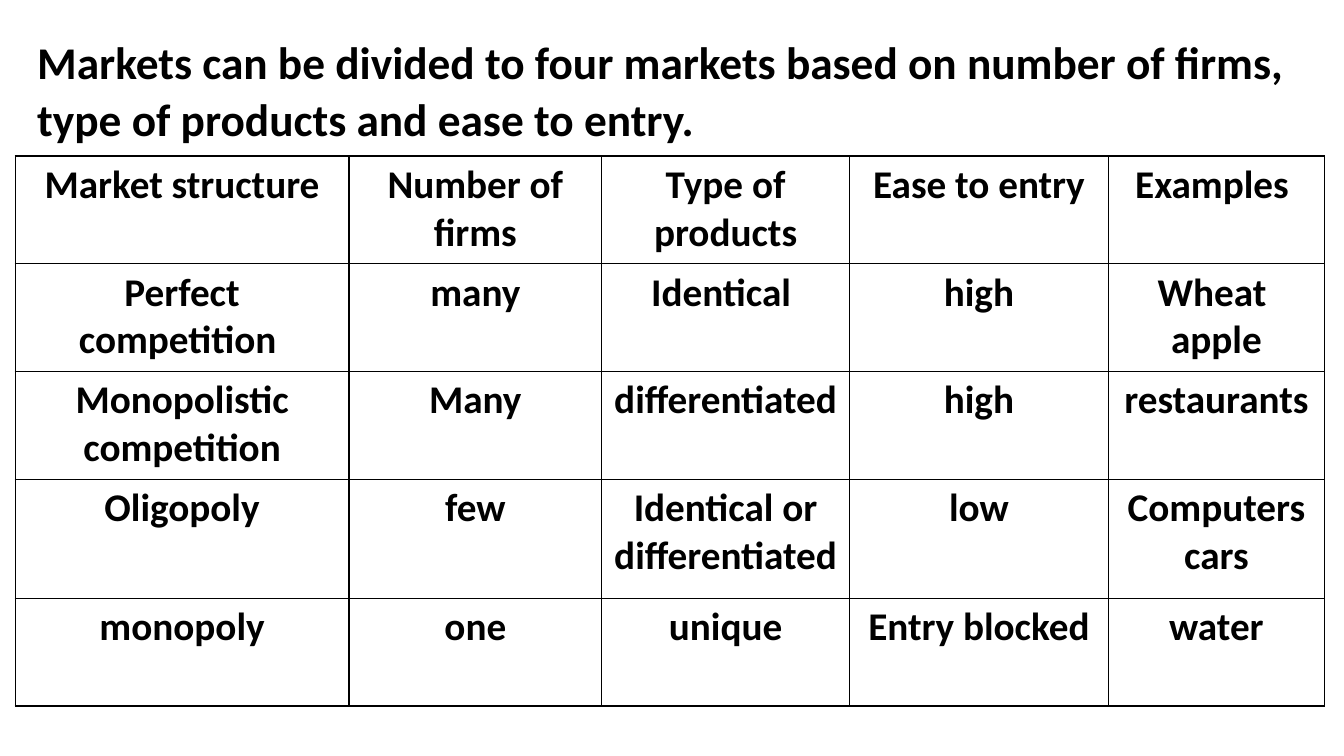
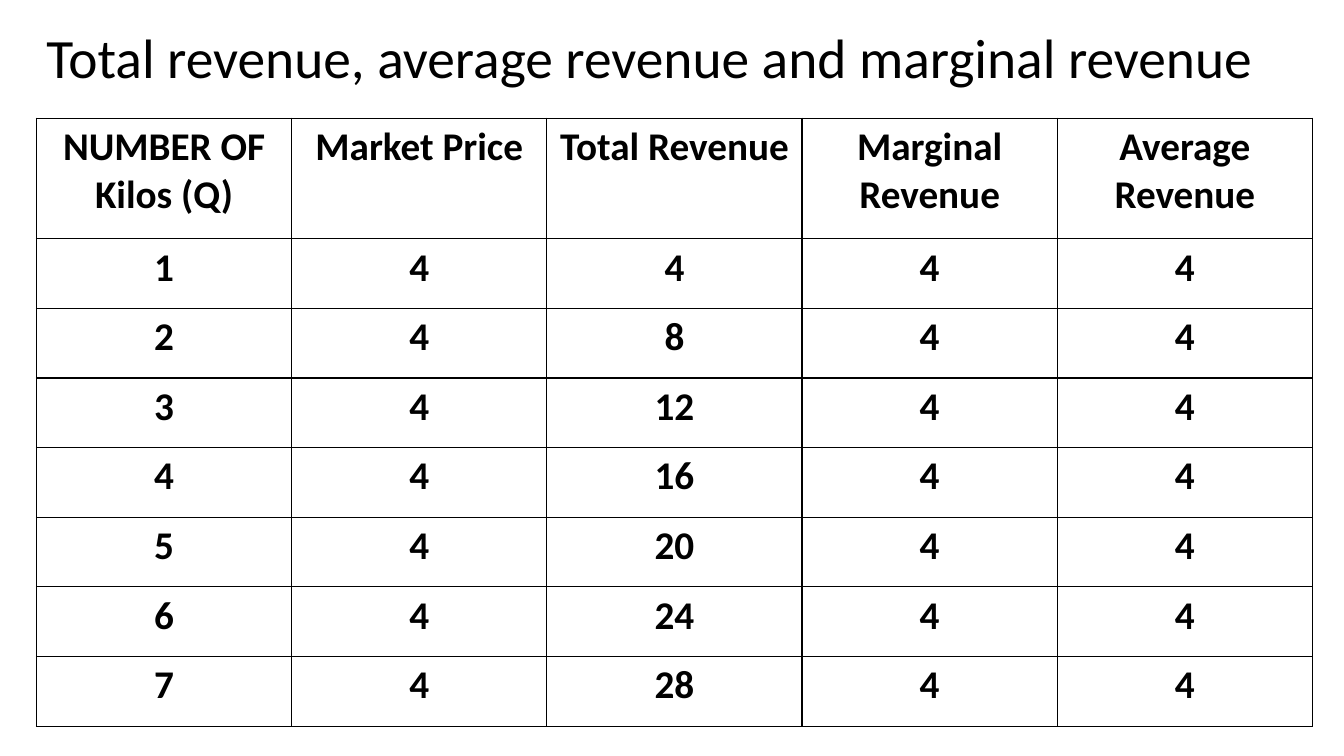
from dataclasses import dataclass

from lxml.etree import SubElement
from pptx import Presentation
from pptx.dml.color import RGBColor as Color
from pptx.enum.text import MSO_ANCHOR as Anchor, PP_ALIGN as Align
from pptx.oxml.ns import qn
from pptx.util import Pt


@dataclass(frozen=True)
class Theme:
    font: str = "Calibri"
    ink: str = "000000"
    paper: str = "FFFFFF"
    large: float = 39.6
    title: float = 32.4
    cell: float = 28
    rule: float = 1


def write(frame, text, size, theme, bold=False, align=Align.LEFT, gap=1.0):
    """Fill a text frame, one paragraph for each line of text."""
    frame.word_wrap = True
    for i, line in enumerate(text.split("\n")):
        para = frame.add_paragraph() if i else frame.paragraphs[0]
        para.alignment = align
        para.line_spacing = gap
        run = para.add_run()
        run.text = line
        font = run.font
        font.name, font.size, font.bold = theme.font, Pt(size), bold
        font.color.rgb = Color.from_string(theme.ink)


class Deck:
    def __init__(self, theme):
        self.theme = theme
        self.show = Presentation()
        self.show.slide_width, self.show.slide_height = Pt(960), Pt(540)
        self.slide = None

    def page(self):
        self.slide = self.show.slides.add_slide(self.show.slide_layouts[6])
        fill = self.slide.background.fill
        fill.solid()
        fill.fore_color.rgb = Color.from_string(self.theme.paper)

    def title(self, text, x, y, w, h, size, **style):
        box = self.slide.shapes.add_textbox(Pt(x), Pt(y), Pt(w), Pt(h))
        box.text_frame.vertical_anchor = Anchor.MIDDLE
        write(box.text_frame, text, size, self.theme, **style)

    def border(self, cell):
        props = cell._tc.get_or_add_tcPr()
        for side in ("a:lnL", "a:lnR", "a:lnT", "a:lnB"):
            line = SubElement(props, qn(side), w=str(Pt(self.theme.rule)))
            fill = SubElement(line, qn("a:solidFill"))
            SubElement(fill, qn("a:srgbClr"), val=self.theme.ink)

    def table(self, data, x, y, widths, heights):
        frame = self.slide.shapes.add_table(
            len(data), len(widths), Pt(x), Pt(y),
            Pt(sum(widths)), Pt(sum(heights)))
        grid = frame.table
        grid.first_row = grid.horz_banding = False
        for col, width in zip(grid.columns, widths):
            col.width = Pt(width)
        for row, height, texts in zip(grid.rows, heights, data):
            row.height = Pt(height)
            for cell, text in zip(row.cells, texts):
                self.border(cell)
                cell.fill.background()
                write(cell.text_frame, str(text), self.theme.cell,
                      self.theme, bold=True, align=Align.CENTER)


MARKETS = [
    ("Market structure", "Number of firms", "Type of products",
     "Ease to entry", "Examples "),
    ("Perfect competition ", "many", "Identical ", "high", "Wheat \napple"),
    ("Monopolistic competition", "Many", "differentiated", "high",
     "restaurants"),
    ("Oligopoly", "few", "Identical or differentiated", "low",
     "Computers\ncars"),
    ("monopoly", "one", "unique", "Entry blocked", "water"),
]
PRICE = 4
REVENUE = [
    ("NUMBER OF Kilos (Q)", "Market Price", "Total Revenue",
     "Marginal Revenue", "Average Revenue"),
    *((n, PRICE, n * PRICE, PRICE, PRICE) for n in range(1, 8)),
]


def main():
    theme = Theme()
    deck = Deck(theme)

    deck.page()
    deck.title("Markets can be divided to four markets based on number of "
               "firms, type of products and ease to entry.",
               19.5, 26, 926.5, 74, theme.title, bold=True, gap=1.05)
    deck.table(MARKETS, 10.8, 111.4, [238.5, 180.5, 177, 185, 154.3],
               [77, 77, 77, 85, 77])

    deck.page()
    deck.title("Total revenue, average revenue and marginal revenue",
               26, 19.5, 894, 48, theme.large, gap=0.9)
    deck.table(REVENUE, 26, 84.5, [182.3] * 5, [86] + [49.75] * 7)

    deck.show.save("out.pptx")


if __name__ == "__main__":
    main()
